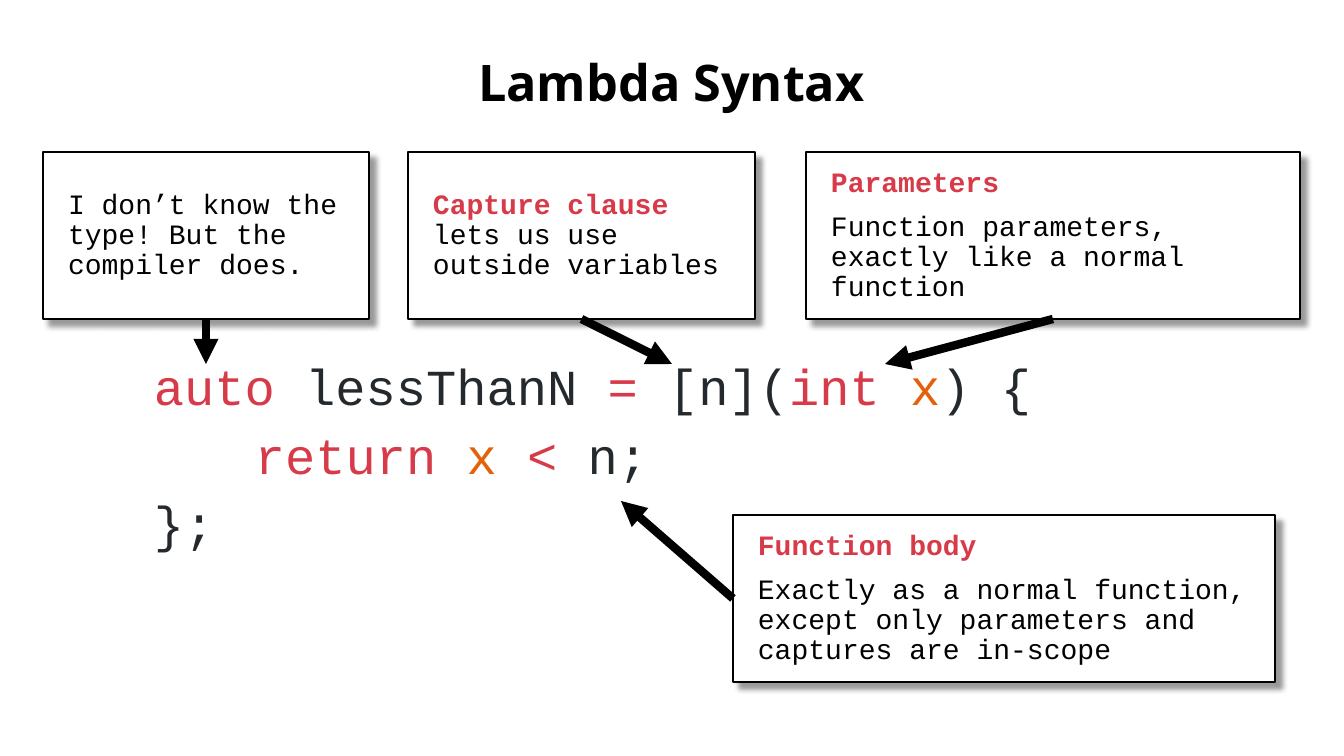
from lxml import etree
from pptx import Presentation
from pptx import util as u
from pptx.dml.color import RGBColor
from pptx.enum import shapes, text
from pptx.oxml.ns import qn

EMU_PER_PX = 12192000 / 1344
BLACK, WHITE = "000000", "FFFFFF"
KEYWORD, PLAIN, ARGUMENT, HEADING = "D73A49", "24292E", "E36209", "D73A48"
BOTTOM, LEFT = 2, 1


def px(length):
    return u.Emu(round(length * EMU_PER_PX))


def rgb(value):
    return RGBColor.from_string(value)


def child(parent, tag, **attributes):
    return etree.SubElement(parent, qn(tag), {k: str(v) for k, v in attributes.items()})


def write(paragraph, wording, font="Courier New", size=20, color=BLACK, bold=False):
    run = paragraph.add_run()
    run.text = wording
    run.font.name = font
    run.font.size = u.Pt(size)
    run.font.bold = bold
    run.font.color.rgb = rgb(color)


class SyntaxSlide:
    def __init__(self, deck):
        self.slide = deck.slides.add_slide(deck.slide_layouts[6])
        self.items = self.slide.shapes

    def fill_frame(self, frame, paragraphs, inset, align=text.PP_ALIGN.LEFT, tabs=()):
        frame.word_wrap = True
        frame.vertical_anchor = text.MSO_ANCHOR.MIDDLE
        frame.margin_left = frame.margin_right = px(inset[0])
        frame.margin_top = frame.margin_bottom = px(inset[1])
        for index, runs in enumerate(paragraphs):
            paragraph = frame.add_paragraph() if index else frame.paragraphs[0]
            if tabs:
                stops = child(paragraph._p.get_or_add_pPr(), "a:tabLst")
                for stop in tabs:
                    child(stops, "a:tab", pos=px(stop), algn="l")
            paragraph.alignment = align
            paragraph.line_spacing = 0.9
            if index:
                paragraph.space_before = u.Pt(10)
            for wording, style in runs:
                write(paragraph, wording, **style)

    def text_box(self, bounds, paragraphs, **layout):
        box = self.items.add_textbox(*map(px, bounds))
        self.fill_frame(box.text_frame, paragraphs, (10, 5), **layout)

    def callout(self, bounds, paragraphs):
        box = self.items.add_shape(shapes.MSO_SHAPE.RECTANGLE, *map(px, bounds))
        box.fill.solid()
        box.fill.fore_color.rgb = rgb(WHITE)
        box.line.color.rgb = rgb(BLACK)
        box.line.width = u.Pt(1.5)
        box.shadow.inherit = False
        effects = box._element.spPr.find(qn("a:effectLst"))
        shadow = child(effects, "a:outerShdw", blurRad=u.Pt(4), dist=u.Pt(6),
                       dir=45 * 60000, algn="tl", rotWithShape=0)
        child(child(shadow, "a:srgbClr", val=BLACK), "a:alpha", val=40000)
        self.fill_frame(box.text_frame, paragraphs, (25, 25))
        return box

    def arrow(self, source, side, tip):
        x, y = map(px, tip)
        line = self.items.add_connector(shapes.MSO_CONNECTOR.STRAIGHT, x, y, x, y)
        line.begin_connect(source, side)
        line.line.color.rgb = rgb(BLACK)
        line.line.width = u.Pt(6)
        child(line.line._get_or_add_ln(), "a:tailEnd", type="triangle")
        child(line._element.spPr, "a:effectLst")


def main():
    deck = Presentation()
    deck.slide_width, deck.slide_height = px(1344), px(756)
    page = SyntaxSlide(deck)

    title = [("Lambda Syntax", dict(font="Open Sans", size=36, bold=True))]
    page.text_box((43, 43, 1257, 85), [title], align=text.PP_ALIGN.CENTER)

    code = [
        [("\tauto ", KEYWORD), ("lessThanN ", PLAIN), ("=", KEYWORD), (" [n](", PLAIN),
         ("int ", KEYWORD), ("x", ARGUMENT), (") {", PLAIN)],
        [("\t\treturn ", KEYWORD), ("x ", ARGUMENT), ("<", KEYWORD), (" n;", PLAIN)],
        [("\t};", PLAIN)],
    ]
    lines = [[(part, dict(size=36, color=color)) for part, color in line] for line in code]
    page.text_box((43, 303, 1257, 310), lines, tabs=(101, 202))

    heading = dict(color=HEADING, bold=True)
    callouts = [
        ((43, 152, 326, 167), BOTTOM, (206, 364),
         [[("I don’t know the type! But the compiler does.", {})]]),
        ((408, 152, 347, 167), BOTTOM, (672, 364),
         [[("Capture clause ", heading), ("lets us use outside variables", {})]]),
        ((806, 152, 494, 167), BOTTOM, (885, 364),
         [[("Parameters", heading)],
          [("Function parameters, exactly like a normal function", {})]]),
        ((733, 515, 542, 167), LEFT, (621, 501),
         [[("Function body", heading)],
          [("Exactly as a normal function, except only parameters and captures are in-scope", {})]]),
    ]
    for bounds, side, tip, paragraphs in callouts:
        page.arrow(page.callout(bounds, paragraphs), side, tip)

    deck.save("out.pptx")


if __name__ == "__main__":
    main()
